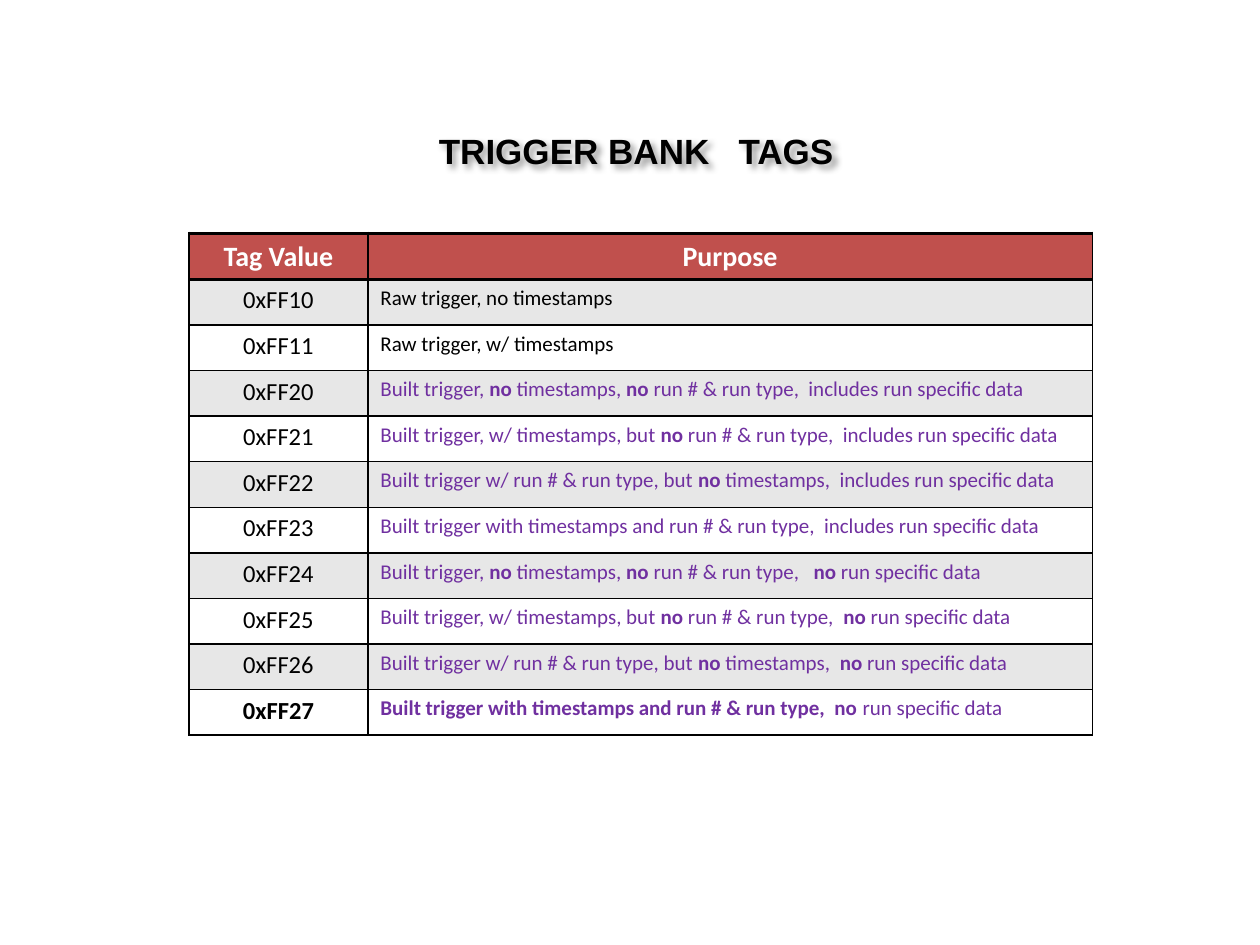
import pptx
import pptx.dml.color
import pptx.enum.text
import pptx.oxml
import pptx.oxml.ns
import pptx.util

COLORS = {
    "black": "000000",
    "white": "FFFFFF",
    "header": "C0504D",
    "band": "E7E7E7",
    "built": "7030A0",
}
SLIDE_WIDTH = pptx.util.Inches(10)
SLIDE_HEIGHT = pptx.util.Inches(7.5)
COLUMN_WIDTHS = (1.42, 5.75)
TABLE_HEIGHT = 3.98
BOLD_MARK = "*"
ROWS = [
    ("0xFF10", "Raw trigger, no timestamps"),
    ("0xFF11", "Raw trigger, w/ timestamps"),
    ("0xFF20", "Built trigger, *no* timestamps, *no* run # & run type,  includes run specific data"),
    ("0xFF21", "Built trigger, w/ timestamps, but *no* run # & run type,  includes run specific data"),
    ("0xFF22", "Built trigger w/ run # & run type, but *no* timestamps,  includes run specific data"),
    ("0xFF23", "Built trigger with timestamps and run # & run type,  includes run specific data"),
    ("0xFF24", "Built trigger, *no* timestamps, *no* run # & run type,   *no* run specific data"),
    ("0xFF25", "Built trigger, w/ timestamps, but *no* run # & run type,  *no* run specific data"),
    ("0xFF26", "Built trigger w/ run # & run type, but *no* timestamps,  *no* run specific data"),
    ("*0xFF27*", "*Built trigger with timestamps and run # & run type,  no* run specific data"),
]


def rgb(name):
    return pptx.dml.color.RGBColor.from_string(COLORS[name])


def write_text(paragraph, text, font_name, size, color, centered):
    for index, part in enumerate(text.split(BOLD_MARK)):
        if part:
            run = paragraph.add_run()
            run.text = part
            run.font.bold = index % 2 == 1
    paragraph.font.name = font_name
    paragraph.font.size = pptx.util.Pt(size)
    paragraph.font.color.rgb = rgb(color)
    if centered:
        paragraph.alignment = pptx.enum.text.PP_ALIGN.CENTER


def add_text_shadow(shape):
    namespace = pptx.oxml.ns.nsdecls("a")
    shape.element.spPr.append(pptx.oxml.parse_xml(
        f'<a:effectLst {namespace}>'
        '<a:outerShdw blurRad="50800" dist="38100" dir="2700000" algn="tl" rotWithShape="0">'
        f'<a:srgbClr val="{COLORS["black"]}"><a:alpha val="40000"/></a:srgbClr>'
        '</a:outerShdw></a:effectLst>'))


def add_title(slide, text):
    box = slide.shapes.add_textbox(
        int(SLIDE_WIDTH * 0.33), int(SLIDE_HEIGHT * 0.13),
        int(SLIDE_WIDTH * 0.35), int(SLIDE_HEIGHT * 0.06))
    box.text_frame.word_wrap = True
    write_text(box.text_frame.paragraphs[0], text, "Arial", 20, "black", True)
    add_text_shadow(box)


def set_borders(cell, top, bottom):
    properties = cell._tc.get_or_add_tcPr()
    namespace = pptx.oxml.ns.nsdecls("a")
    for side, points in (("L", 1), ("R", 1), ("T", top), ("B", bottom)):
        properties.append(pptx.oxml.parse_xml(
            f'<a:ln{side} {namespace} w="{pptx.util.Pt(points)}">'
            f'<a:solidFill><a:srgbClr val="{COLORS["black"]}"/></a:solidFill>'
            f'</a:ln{side}>'))


def fill_cell(cell, text, size, color, background, centered, top, bottom):
    write_text(cell.text_frame.paragraphs[0], text, "Calibri", size, color, centered)
    set_borders(cell, top, bottom)
    cell.fill.solid()
    cell.fill.fore_color.rgb = rgb(background)


def add_tag_table(slide):
    row_count = len(ROWS) + 1
    table = slide.shapes.add_table(
        row_count, len(COLUMN_WIDTHS),
        int(SLIDE_WIDTH * 0.15), pptx.util.Inches(1.85),
        pptx.util.Inches(sum(COLUMN_WIDTHS)), pptx.util.Inches(TABLE_HEIGHT)).table
    for column, width in zip(table.columns, COLUMN_WIDTHS):
        column.width = pptx.util.Inches(width)
    for row in table.rows:
        row.height = pptx.util.Inches(TABLE_HEIGHT / row_count)

    for column, heading in enumerate(("*Tag Value*", "*Purpose*")):
        fill_cell(table.cell(0, column), heading, 16, "white", "header", True, 2, 2)
    for index, (tag, purpose) in enumerate(ROWS, start=1):
        background = "band" if index % 2 else "white"
        color = "built" if "Built" in purpose else "black"
        top = 2 if index == 1 else 1
        fill_cell(table.cell(index, 0), tag, 14, "black", background, True, top, 1)
        fill_cell(table.cell(index, 1), purpose, 12, color, background, False, top, 1)


def main():
    presentation = pptx.Presentation()
    presentation.slide_width = SLIDE_WIDTH
    presentation.slide_height = SLIDE_HEIGHT
    slide = presentation.slides.add_slide(presentation.slide_layouts[6])
    add_title(slide, "*TRIGGER BANK   TAGS*")
    add_tag_table(slide)
    presentation.save("out.pptx")


if __name__ == "__main__":
    main()
